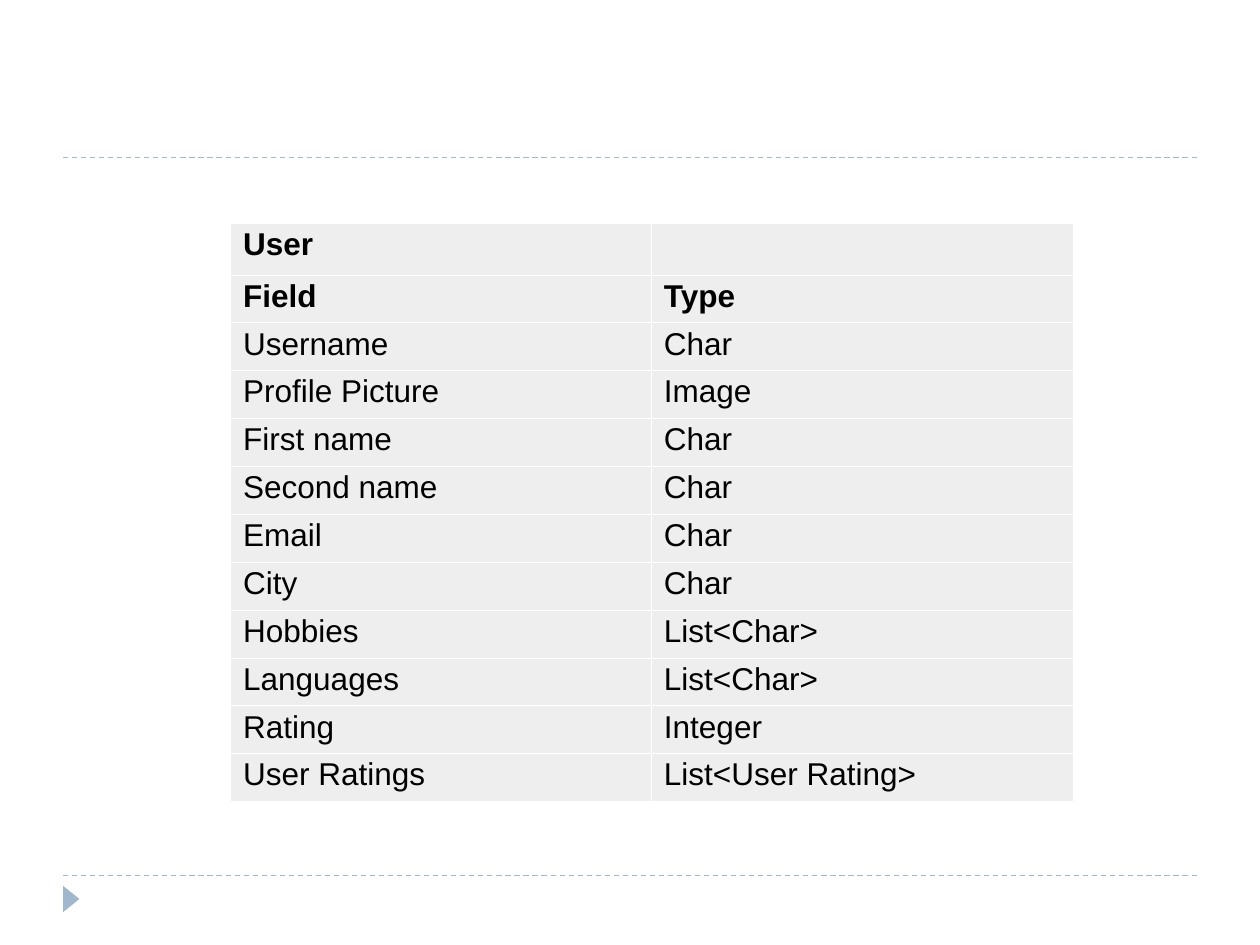
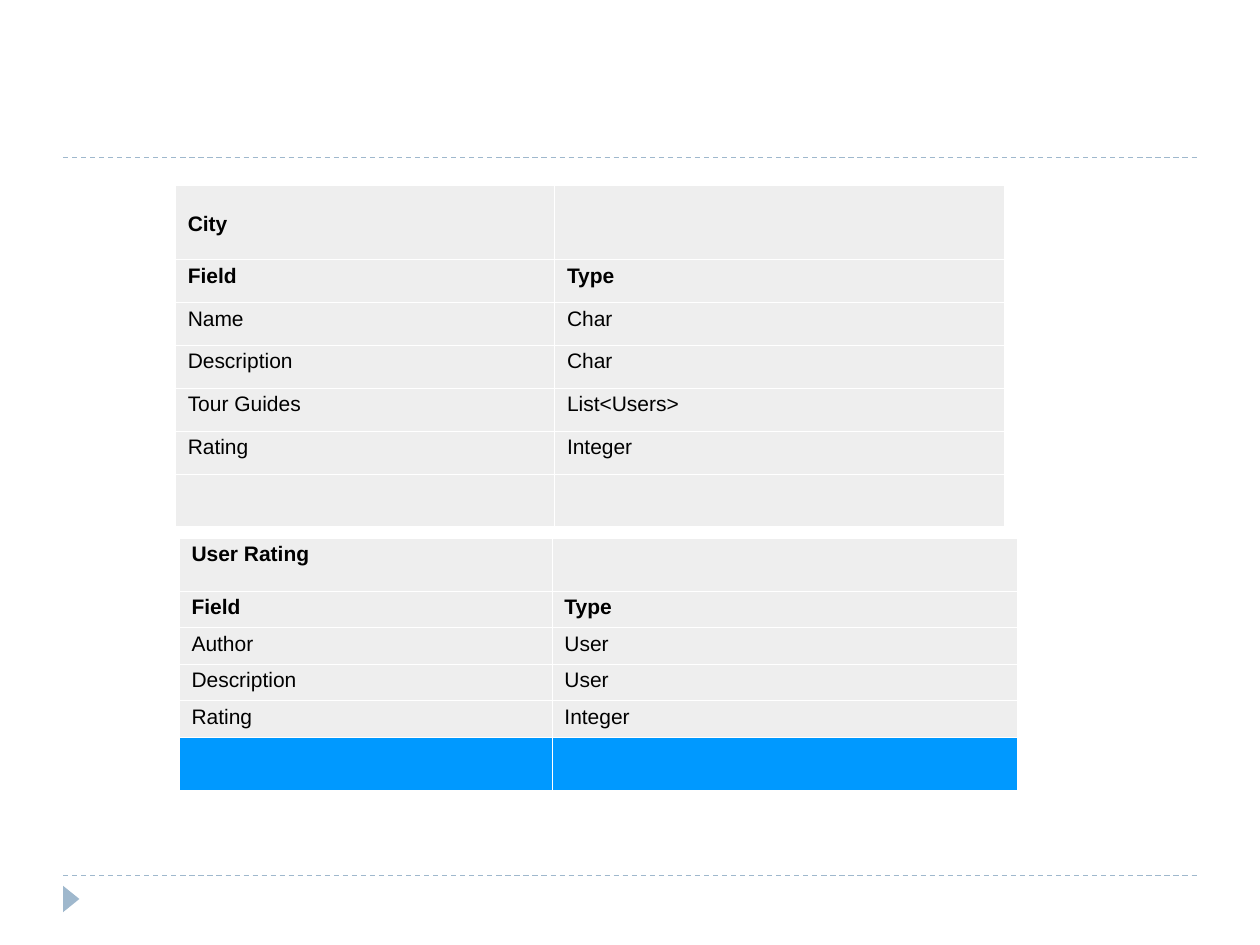
"""Build two slides of data model tables."""
import dataclasses

import lxml.etree
import pptx
import pptx.dml.color
import pptx.enum.dml
import pptx.enum.shapes
import pptx.oxml.ns
import pptx.slide
import pptx.table
import pptx.util

Inches = pptx.util.Inches
Pt = pptx.util.Pt

COLORS = {"accent": "9FB8CD", "cell": "EEEEEE", "border": "FFFFFF",
          "highlight": "0099FF", "text": "000000"}
FONT = "Arial"
BORDER_PT = 0.06
RULE_TOPS = (6.95, 1.25)
HEADER_ROWS = 2


@dataclasses.dataclass
class ModelTable:
    name: str
    fields: list[tuple[str, str]]
    left: float
    top: float
    widths: tuple[float, float]
    name_height: float
    row_height: float
    size: int
    name_inset: float = 0.05
    spare_fill: str | None = None
    spare_height: float = 0.42


USER = ModelTable(
    "User",
    [("Username", "Char"), ("Profile Picture", "Image"), ("First name", "Char"),
     ("Second name", "Char"), ("Email", "Char"), ("City", "Char"),
     ("Hobbies", "List<Char>"), ("Languages", "List<Char>"),
     ("Rating", "Integer"), ("User Ratings", "List<User Rating>")],
    left=1.83, top=1.77, widths=(3.34, 3.35),
    name_height=0.41, row_height=0.38, size=18)

CITY = ModelTable(
    "City",
    [("Name", "Char"), ("Description", "Char"),
     ("Tour Guides", "List<Users>"), ("Rating", "Integer")],
    left=1.39, top=1.47, widths=(3.01, 3.57),
    name_height=0.59, row_height=0.34, size=12,
    name_inset=0.23, spare_fill="cell")

USER_RATING = ModelTable(
    "User Rating",
    [("Author", "User"), ("Description", "User"), ("Rating", "Integer")],
    left=1.42, top=4.27, widths=(2.96, 3.69),
    name_height=0.42, row_height=0.29, size=12, spare_fill="highlight")

SLIDES = [[USER], [CITY, USER_RATING]]


def rgb(name: str) -> pptx.dml.color.RGBColor:
    return pptx.dml.color.RGBColor.from_string(COLORS[name])


def write(cell: pptx.table._Cell, text: str, *, size: int, bold: bool = False,
          color: str = "text") -> None:
    p = cell.text_frame.paragraphs[0]
    p.line_spacing = 0.93
    r = p.add_run()
    r.text = text
    r.font.name = FONT
    r.font.size = Pt(size)
    r.font.bold = bold
    r.font.color.rgb = rgb(color)


def style_cell(cell: pptx.table._Cell, fill: str, inset: float = 0.05) -> None:
    qn = pptx.oxml.ns.qn
    tc_pr = cell._tc.get_or_add_tcPr()
    for side in ("L", "R", "T", "B"):
        ln = lxml.etree.SubElement(tc_pr, qn(f"a:ln{side}"), w=str(Pt(BORDER_PT)))
        solid = lxml.etree.SubElement(ln, qn("a:solidFill"))
        lxml.etree.SubElement(solid, qn("a:srgbClr"), val=COLORS["border"])
    cell.fill.solid()
    cell.fill.fore_color.rgb = rgb(fill)
    cell.margin_left = cell.margin_right = Inches(0.1)
    cell.margin_top = Inches(inset)
    cell.margin_bottom = Inches(0.05)


def add_model_table(slide: pptx.slide.Slide, model: ModelTable) -> None:
    rows = [(model.name, ""), ("Field", "Type"), *model.fields]
    heights = [model.name_height] + [model.row_height] * (len(rows) - 1)
    fills = ["cell"] * len(rows)
    if model.spare_fill:
        rows.append(("", ""))
        heights.append(model.spare_height)
        fills.append(model.spare_fill)

    table = slide.shapes.add_table(
        len(rows), len(model.widths), Inches(model.left), Inches(model.top),
        Inches(sum(model.widths)), Inches(sum(heights))).table
    table.first_row = table.horz_banding = False
    for column, width in zip(table.columns, model.widths):
        column.width = Inches(width)
    for i, (texts, height, fill) in enumerate(zip(rows, heights, fills)):
        table.rows[i].height = Inches(height)
        for cell, text in zip(table.rows[i].cells, texts):
            style_cell(cell, fill, model.name_inset if i == 0 else 0.05)
            if text:
                write(cell, text, size=model.size, bold=i < HEADER_ROWS)


def add_frame(slide: pptx.slide.Slide) -> None:
    for top in RULE_TOPS:
        rule = slide.shapes.add_connector(
            pptx.enum.shapes.MSO_CONNECTOR.STRAIGHT,
            Inches(0.5), Inches(top), Inches(9.5), Inches(top))
        rule.line.color.rgb = rgb("accent")
        rule.line.width = Pt(0.75)
        rule.line.dash_style = pptx.enum.dml.MSO_LINE.DASH
        lxml.etree.SubElement(rule._element.spPr, pptx.oxml.ns.qn("a:effectLst"))
    sp = slide.shapes.add_shape(
        pptx.enum.shapes.MSO_SHAPE.ISOSCELES_TRIANGLE,
        Inches(0.46), Inches(7.07), Inches(0.21), Inches(0.13))
    sp.rotation = 90
    sp.shadow.inherit = False
    sp.fill.solid()
    sp.fill.fore_color.rgb = rgb("accent")
    sp.line.fill.background()


def main() -> None:
    prs = pptx.Presentation()
    prs.slide_width, prs.slide_height = Inches(10), Inches(7.5)
    for models in SLIDES:
        slide = prs.slides.add_slide(prs.slide_layouts[6])
        add_frame(slide)
        for model in models:
            add_model_table(slide, model)
    prs.save("out.pptx")


if __name__ == "__main__":
    main()
